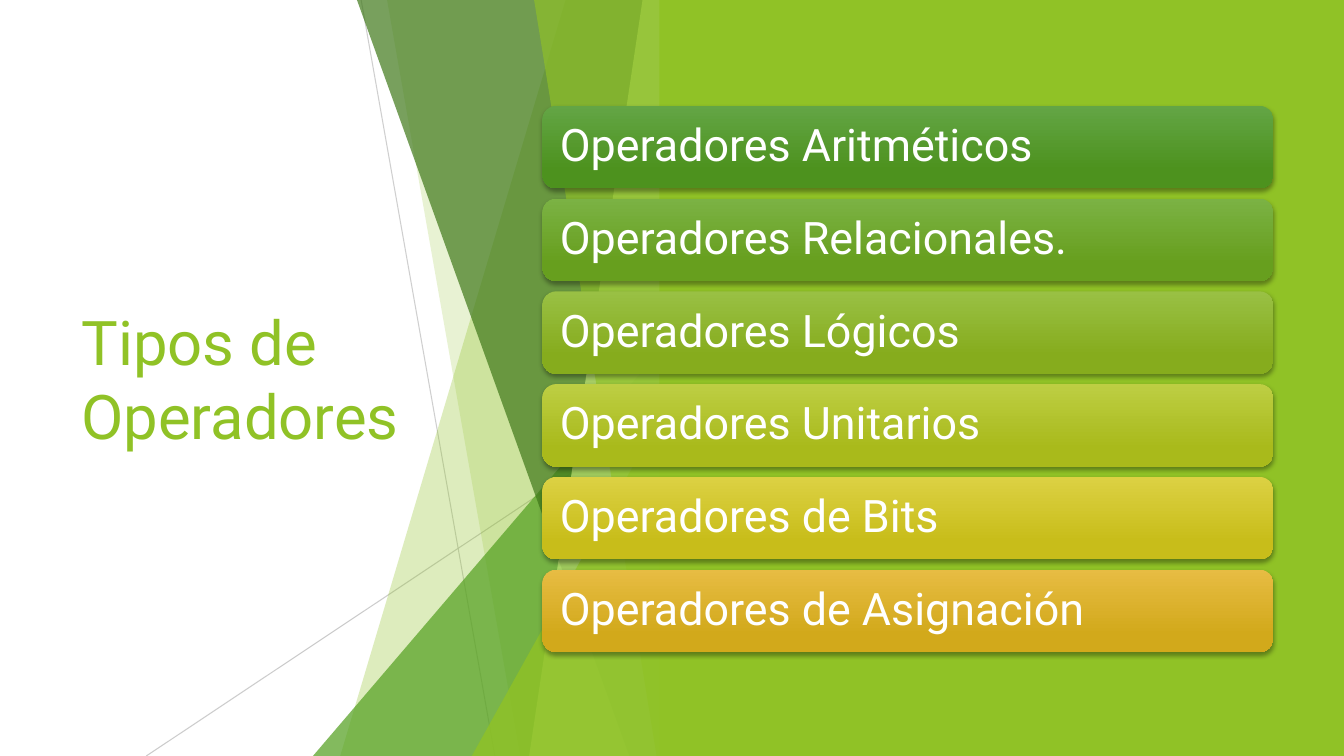
from dataclasses import dataclass

from lxml.etree import SubElement
from pptx import Presentation
from pptx.dml.color import RGBColor
from pptx.enum.shapes import MSO_CONNECTOR, MSO_SHAPE
from pptx.enum.text import MSO_ANCHOR, MSO_AUTO_SIZE, PP_ALIGN
from pptx.oxml.ns import qn
from pptx.util import Pt


@dataclass(frozen=True)
class Theme:
    font: str = "Roboto"
    title_size: int = 44
    bar_size: int = 32
    lime: str = "90C226"
    green: str = "54A021"
    forest: str = "3F7819"
    pale: str = "C0E474"
    gray: str = "BFBFBF"
    white: str = "FFFFFF"
    shadow: str = "000000"


@dataclass(frozen=True)
class Box:
    left: float
    top: float
    width: float
    height: float

    @property
    def right(self):
        return self.left + self.width

    @property
    def bottom(self):
        return self.top + self.height

    def lengths(self):
        return Pt(self.left), Pt(self.top), Pt(self.width), Pt(self.height)


THEME = Theme()
OPERATORS = [
    ("Operadores Aritméticos", "63A545", "4D921E"),
    ("Operadores Relacionales.", "7BB244", "679F1E"),
    ("Operadores Lógicos", "99C044", "86AC1D"),
    ("Operadores Unitarios", "BDCE43", "A9BA1B"),
    ("Operadores de Bits", "DCD143", "C8BD1A"),
    ("Operadores de Asignación", "E7BC43", "D2A91B"),
]


def rgb(color):
    return RGBColor.from_string(color)


def set_opacity(shape, percent):
    color = shape._element.spPr.find(".//" + qn("a:srgbClr"))
    SubElement(color, qn("a:alpha"), val=str(percent * 1000))


def paint(shape, color, opacity=100):
    shape.shadow.inherit = False
    shape.fill.solid()
    shape.fill.fore_color.rgb = rgb(color)
    shape.line.fill.background()
    if opacity < 100:
        set_opacity(shape, opacity)


def format_text(shape, size, color):
    frame = shape.text_frame
    frame.word_wrap = True
    frame.auto_size = MSO_AUTO_SIZE.NONE
    frame.vertical_anchor = MSO_ANCHOR.MIDDLE
    paragraph = frame.paragraphs[0]
    paragraph.alignment = PP_ALIGN.LEFT
    paragraph.font.name = THEME.font
    paragraph.font.size = Pt(size)
    paragraph.font.color.rgb = rgb(color)
    return paragraph


def place_title(slide, box, text):
    title = slide.shapes.title
    title.left, title.top, title.width, title.height = box.lengths()
    title.text_frame.text = text
    format_text(title, THEME.title_size, THEME.lime)


def add_facets(slide, box):
    group = slide.shapes.add_group_shape()

    def hairline(start, end, opacity):
        points = [Pt(value) for value in (*start, *end)]
        line = group.shapes.add_connector(MSO_CONNECTOR.STRAIGHT, *points)
        line.line.color.rgb = rgb(THEME.gray)
        line.line.width = Pt(0.75)
        set_opacity(line, opacity)
        SubElement(line._element.spPr, qn("a:effectLst"))

    def band(top_reach, bottom_reach, color, opacity):
        builder = group.shapes.build_freeform(Pt(box.right - top_reach), Pt(box.top))
        builder.add_line_segments([
            (Pt(box.right), Pt(box.top)),
            (Pt(box.right), Pt(box.bottom)),
            (Pt(box.right - bottom_reach), Pt(box.bottom)),
        ])
        paint(builder.convert_to_shape(), color, opacity)

    def corner(width, height, color, opacity):
        area = Box(box.right - width, box.bottom - height, width, height)
        triangle = group.shapes.add_shape(MSO_SHAPE.ISOSCELES_TRIANGLE, *area.lengths())
        triangle.adjustments[0] = 1
        paint(triangle, color, opacity)

    hairline((box.right - 222, box.top), (box.right - 126.5, box.bottom), 75)
    hairline((box.right, box.top + 290), (box.left, box.bottom), 80)
    band(76, 237, THEME.lime, 30)
    band(203.5, 108.5, THEME.lime, 20)
    corner(256.5, 300, THEME.green, 72)
    band(225, 30.5, THEME.forest, 70)
    band(21, 102, THEME.pale, 70)
    band(98.5, 11, THEME.lime, 65)
    corner(143, 257, THEME.lime, 80)


def add_panel(slide, box):
    panel = slide.shapes.add_shape(MSO_SHAPE.RECTANGLE, *box.lengths())
    paint(panel, THEME.lime)


def add_shadow(shape):
    shape.shadow.inherit = False
    effects = shape._element.spPr.find(qn("a:effectLst"))
    shadow = SubElement(effects, qn("a:outerShdw"), blurRad=str(Pt(3)),
                        dist=str(Pt(2)), dir="5400000", rotWithShape="0")
    color = SubElement(shadow, qn("a:srgbClr"), val=THEME.shadow)
    SubElement(color, qn("a:alpha"), val="35000")


def add_bar(slide, box, text, top_color, bottom_color):
    bar = slide.shapes.add_shape(MSO_SHAPE.ROUNDED_RECTANGLE, *box.lengths())
    bar.fill.gradient()
    bar.fill.gradient_angle = 270
    stops = zip(bar.fill.gradient_stops, (top_color, bottom_color), (0, 0.78))
    for stop, color, position in stops:
        stop.color.rgb = rgb(color)
        stop.position = position
    bar.line.fill.background()
    add_shadow(bar)
    frame = bar.text_frame
    frame.text = text
    frame.margin_left = frame.margin_right = Pt(9.6)
    frame.margin_top = frame.margin_bottom = Pt(9.6)
    paragraph = format_text(bar, THEME.bar_size, THEME.white)
    paragraph.line_spacing = 0.9


def add_operator_list(slide, box, operators, gap=7.25):
    height = (box.height - gap * (len(operators) - 1)) / len(operators)
    for index, operator in enumerate(operators):
        top = box.top + index * (height + gap)
        add_bar(slide, Box(box.left, top, box.width, height), *operator)


def main():
    presentation = Presentation()
    presentation.slide_width, presentation.slide_height = Pt(960), Pt(540)
    slide = presentation.slides.add_slide(presentation.slide_layouts[5])
    slide.background.fill.solid()
    slide.background.fill.fore_color.rgb = rgb(THEME.white)
    place_title(slide, Box(51, 109, 279, 322), "Tipos de Operadores")
    add_facets(slide, Box(104.5, 0, 375.5, 540))
    add_panel(slide, Box(471, 0, 489, 540))
    add_operator_list(slide, Box(387.5, 75.6, 522, 390.25), OPERATORS)
    presentation.save("out.pptx")


if __name__ == "__main__":
    main()
